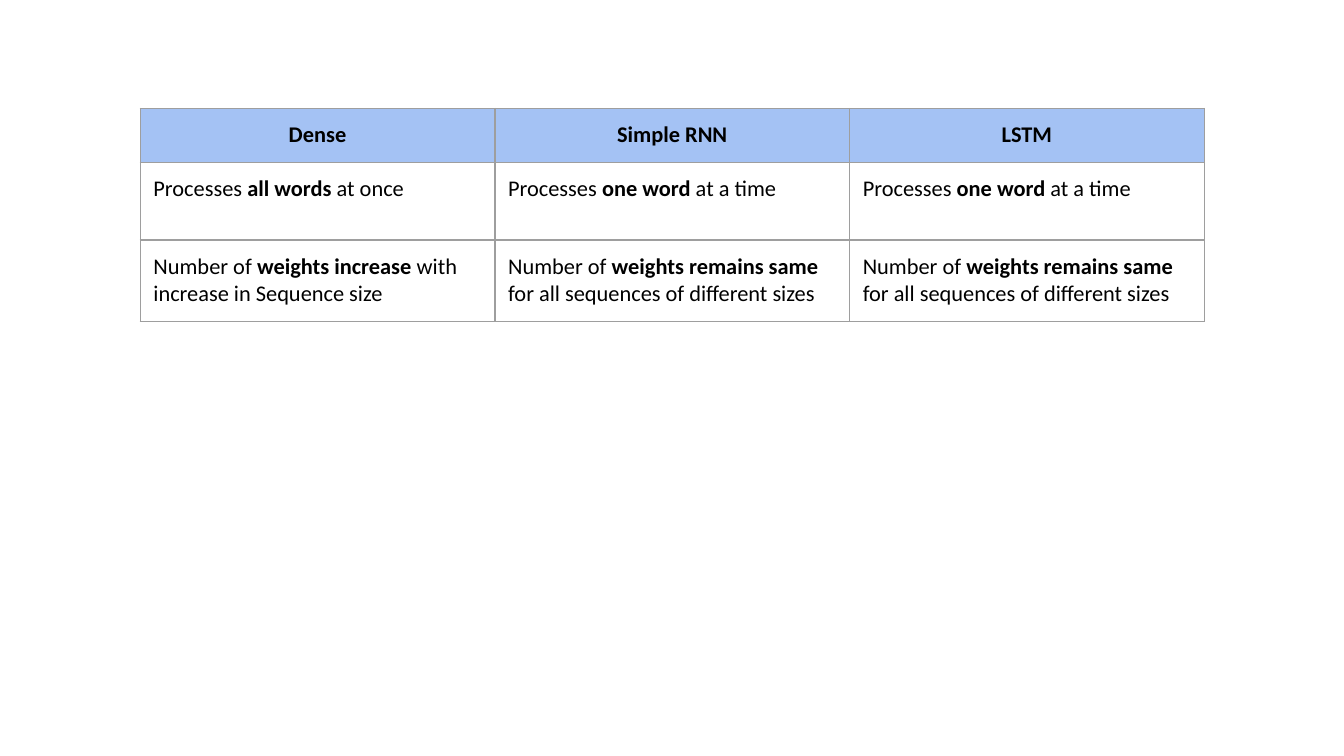
from lxml import etree
from pptx import Presentation
from pptx.dml.color import RGBColor
from pptx.enum.text import MSO_ANCHOR, PP_ALIGN
from pptx.oxml.ns import qn
from pptx.util import Cm, Pt

CENTER, LEFT = PP_ALIGN.CENTER, PP_ALIGN.LEFT
TOP = MSO_ANCHOR.TOP

COLORS = {"header": "A4C2F4", "border": "9E9E9E", "text": "000000"}
FONT = "Calibri"
FONT_SIZE = Pt(12)
BORDER_WIDTH = Pt(0.75)
CELL_MARGIN = Cm(0.25)
ROW_HEIGHTS = (0.94, 1.47, 1.47)

HEADERS = ("Dense", "Simple RNN", "LSTM")
# Each body cell holds plain, bold and plain text
ONE_WORD = ("Processes ", "one word", " at a time")
SAME_WEIGHTS = ("Number of ", "weights remains same",
                " for all sequences of different sizes")
BODY_ROWS = (
    (("Processes ", "all words", " at once"), ONE_WORD, ONE_WORD),
    (("Number of ", "weights increase", " with increase in Sequence size"),
     SAME_WEIGHTS, SAME_WEIGHTS),
)


def add_borders(cell):
    """Draw a thin line on all four sides; lines come before the fill."""
    properties = cell._tc.get_or_add_tcPr()
    for index, side in enumerate(("lnL", "lnR", "lnT", "lnB")):
        line = etree.Element(qn(f"a:{side}"), w=str(int(BORDER_WIDTH)))
        fill = etree.SubElement(line, qn("a:solidFill"))
        etree.SubElement(fill, qn("a:srgbClr"), val=COLORS["border"])
        properties.insert(index, line)


def add_run(paragraph, text, bold):
    run = paragraph.add_run()
    run.text = text
    run.font.name = FONT
    run.font.size = FONT_SIZE
    run.font.bold = bold
    run.font.color.rgb = RGBColor.from_string(COLORS["text"])


def fill_cell(cell, runs, alignment, fill_color=None):
    cell.margin_left = cell.margin_right = CELL_MARGIN
    cell.margin_top = cell.margin_bottom = CELL_MARGIN
    cell.vertical_anchor = TOP
    if fill_color:
        cell.fill.solid()
        cell.fill.fore_color.rgb = RGBColor.from_string(fill_color)
    else:
        cell.fill.background()
    add_borders(cell)
    paragraph = cell.text_frame.paragraphs[0]
    paragraph.alignment = alignment
    for text, bold in runs:
        add_run(paragraph, text, bold)


def add_comparison_table(slide, left, top, width, height):
    shape = slide.shapes.add_table(
        len(ROW_HEIGHTS), len(HEADERS), left, top, width, height)
    table = shape.table
    table.first_row = table.horz_banding = False
    for row, share in zip(table.rows, ROW_HEIGHTS):
        row.height = int(height * share / sum(ROW_HEIGHTS))

    # Header row
    for column, header in enumerate(HEADERS):
        fill_cell(table.cell(0, column), [(header, True)], CENTER,
                  COLORS["header"])

    # Body rows
    for row_index, body_row in enumerate(BODY_ROWS, start=1):
        for column, texts in enumerate(body_row):
            runs = zip(texts, (False, True, False))
            fill_cell(table.cell(row_index, column), runs, LEFT)


def main():
    presentation = Presentation()
    presentation.slide_width = Cm(25.4)
    presentation.slide_height = Cm(14.29)
    slide = presentation.slides.add_slide(presentation.slide_layouts[6])
    add_comparison_table(slide, Cm(2.65), Cm(2.05), Cm(20.11),
                         Cm(sum(ROW_HEIGHTS)))
    presentation.save("out.pptx")


if __name__ == "__main__":
    main()
